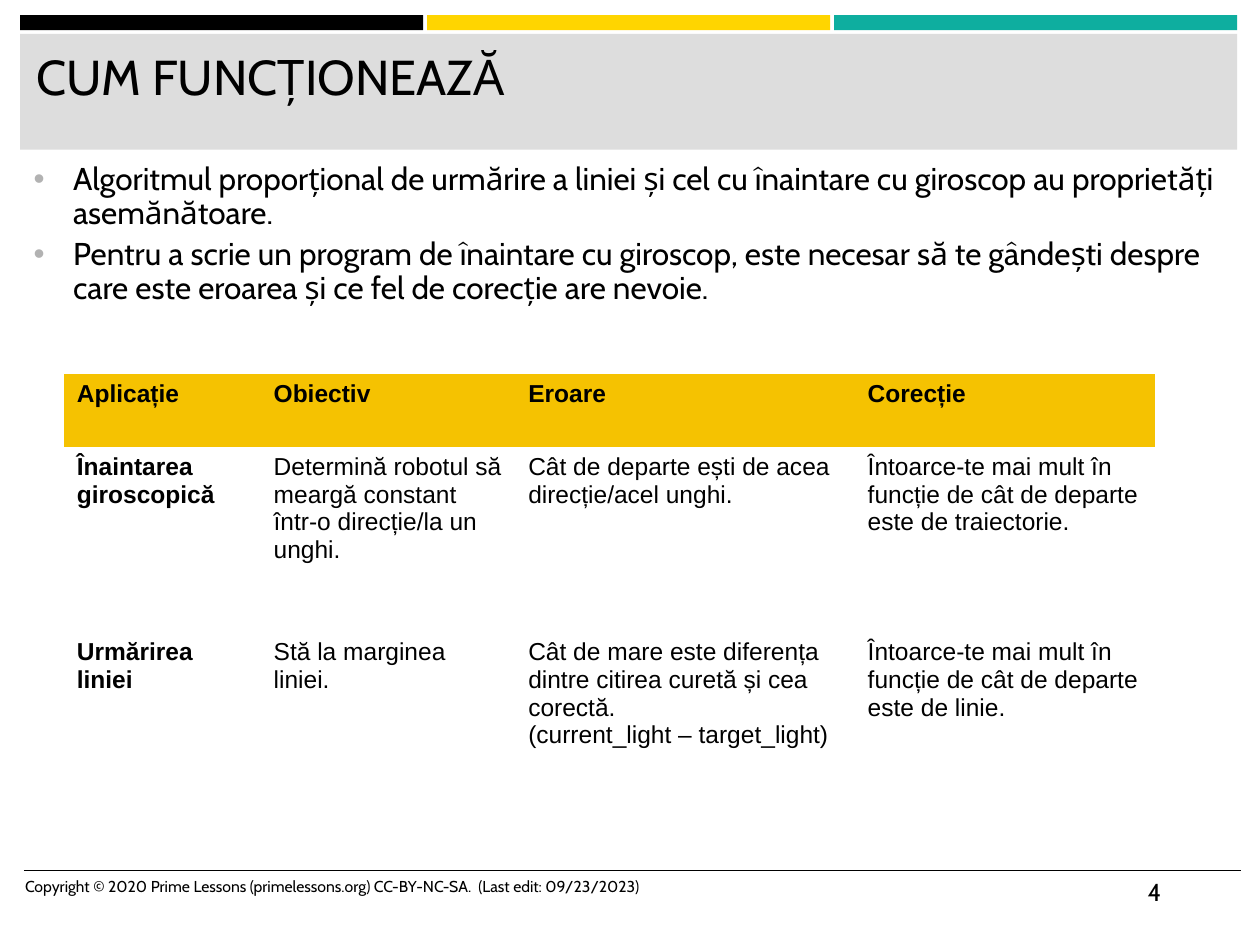
from dataclasses import dataclass
from lxml.etree import SubElement
from pptx import Presentation
from pptx.dml.color import RGBColor
from pptx.enum.shapes import MSO_CONNECTOR, MSO_SHAPE
from pptx.oxml.ns import qn
from pptx.util import Pt


@dataclass(frozen=True)
class Theme:
    ink: str = "000000"
    band: str = "DDDDDD"
    bullet: str = "B2B2B2"
    head: str = "F5C201"
    bars: tuple = ("000000", "FFD500", "0EAE9F")
    font: str = "Cabin"
    grid: str = "Arial"
    title: int = 28
    body: int = 18
    cell: int = 14
    page: int = 14
    note: int = 9


THEME = Theme()

POINTS = (
    "Algoritmul proporțional de urmărire a liniei și cel cu înaintare cu giroscop au proprietăți asemănătoare.",
    "Pentru a scrie un program de înaintare cu giroscop, este necesar să te gândești despre care este eroarea și ce fel de corecție are nevoie.",
)
ROWS = (
    ("Aplicație", "Obiectiv", "Eroare", "Corecție"),
    (
        "Înaintarea giroscopică",
        "Determină robotul să meargă constant într-o direcție/la un unghi.",
        "Cât de departe ești de acea direcție/acel unghi.",
        "Întoarce-te mai mult în funcție de cât de departe este de traiectorie.",
    ),
    (
        "Urmărirea liniei",
        "Stă la marginea liniei.",
        "Cât de mare este diferența dintre citirea curetă și cea corectă.\v(current_light – target_light)",
        "Întoarce-te mai mult în funcție de cât de departe este de linie.",
    ),
)


def color(code):
    return RGBColor.from_string(code)


def style(para, size, font=THEME.font, bold=False):
    for run in para.runs:
        run.font.name = font
        run.font.size = Pt(size)
        run.font.bold = bold
        run.font.color.rgb = color(THEME.ink)


def add_rect(slide, box, fill):
    shape = slide.shapes.add_shape(MSO_SHAPE.RECTANGLE, *map(Pt, box))
    shape.shadow.inherit = False
    shape.fill.solid()
    shape.fill.fore_color.rgb = color(fill)
    shape.line.fill.background()


def add_text(slide, box, text, size):
    frame = slide.shapes.add_textbox(*map(Pt, box)).text_frame
    frame.word_wrap = True
    frame.text = text
    for para in frame.paragraphs:
        style(para, size)
    return frame


def add_header(slide, box, title):
    left, top, width, height = box
    gap, thick = 2.2, 8.6
    count = len(THEME.bars)
    bar = (width - gap * (count - 1)) / count
    for i, fill in enumerate(THEME.bars):
        add_rect(slide, (left + i * (bar + gap), top, bar, thick), fill)
    drop = thick + gap
    add_rect(slide, (left, top + drop, width, height - drop), THEME.band)
    add_text(slide, (left + 2.2, top + 14.4, width - 6.5, 59), title, THEME.title)


def add_points(slide, box, points):
    frame = add_text(slide, box, "\n".join(points), THEME.body)
    for i, para in enumerate(frame.paragraphs):
        props = para._p.get_or_add_pPr()
        props.set("marL", str(Pt(22.5)))
        props.set("indent", str(Pt(-22.5)))
        para.line_spacing = 0.9
        if i:
            para.space_before = Pt(3.6)
        tint = SubElement(props, qn("a:buClr"))
        SubElement(tint, qn("a:srgbClr"), val=THEME.bullet)
        SubElement(props, qn("a:buFont"), typeface=THEME.grid)
        SubElement(props, qn("a:buChar"), char="•")


def add_grid(slide, box, rows, widths, heights):
    table = slide.shapes.add_table(len(rows), len(widths), *map(Pt, box)).table
    table.horz_banding = False
    for column, width in zip(table.columns, widths):
        column.width = Pt(width)
    for r, (row, height) in enumerate(zip(rows, heights)):
        table.rows[r].height = Pt(height)
        for c, text in enumerate(row):
            cell = table.cell(r, c)
            cell.text_frame.text = ""
            para = cell.text_frame.paragraphs[0]
            para.text = text
            style(para, THEME.cell, THEME.grid, r == 0 or c == 0)
            if r == 0:
                cell.fill.solid()
                cell.fill.fore_color.rgb = color(THEME.head)
            else:
                cell.fill.background()
    props = table._tbl.tblPr
    props.find(qn("a:tableStyleId")).text = "{2D5ABB26-0587-4C30-8999-92F81FD0307C}"


def add_footer(slide, box, note, page):
    left, top, width, height = box
    right = left + width
    rule = slide.shapes.add_connector(
        MSO_CONNECTOR.STRAIGHT, Pt(left), Pt(top), Pt(right), Pt(top)
    )
    rule.line.color.rgb = color(THEME.ink)
    rule.line.width = Pt(1)
    SubElement(rule._element.spPr, qn("a:effectLst"))
    add_text(slide, (left - 6.5, top, 384, height), note, THEME.note)
    add_text(slide, (right - 60.5, top, 60.5, height), page, THEME.page)


def main():
    deck = Presentation()
    deck.slide_width, deck.slide_height = Pt(720), Pt(540)
    slide = deck.slides.add_slide(deck.slide_layouts[6])
    add_header(slide, (11.5, 8.6, 695.5, 77), "CUM FUNCȚIONEAZĂ")
    add_points(slide, (12.2, 90, 690.5, 94.3), POINTS)
    add_grid(
        slide, (36.7, 213.8, 623.5, 253.4), ROWS,
        (112.5, 145.5, 194, 171.5), (41.8, 105.8, 105.8),
    )
    add_footer(
        slide, (13.7, 497.5, 695.5, 28.8),
        "Copyright © 2020 Prime Lessons (primelessons.org) CC-BY-NC-SA.  (Last edit: 09/23/2023)",
        "4",
    )
    deck.save("out.pptx")


if __name__ == "__main__":
    main()
